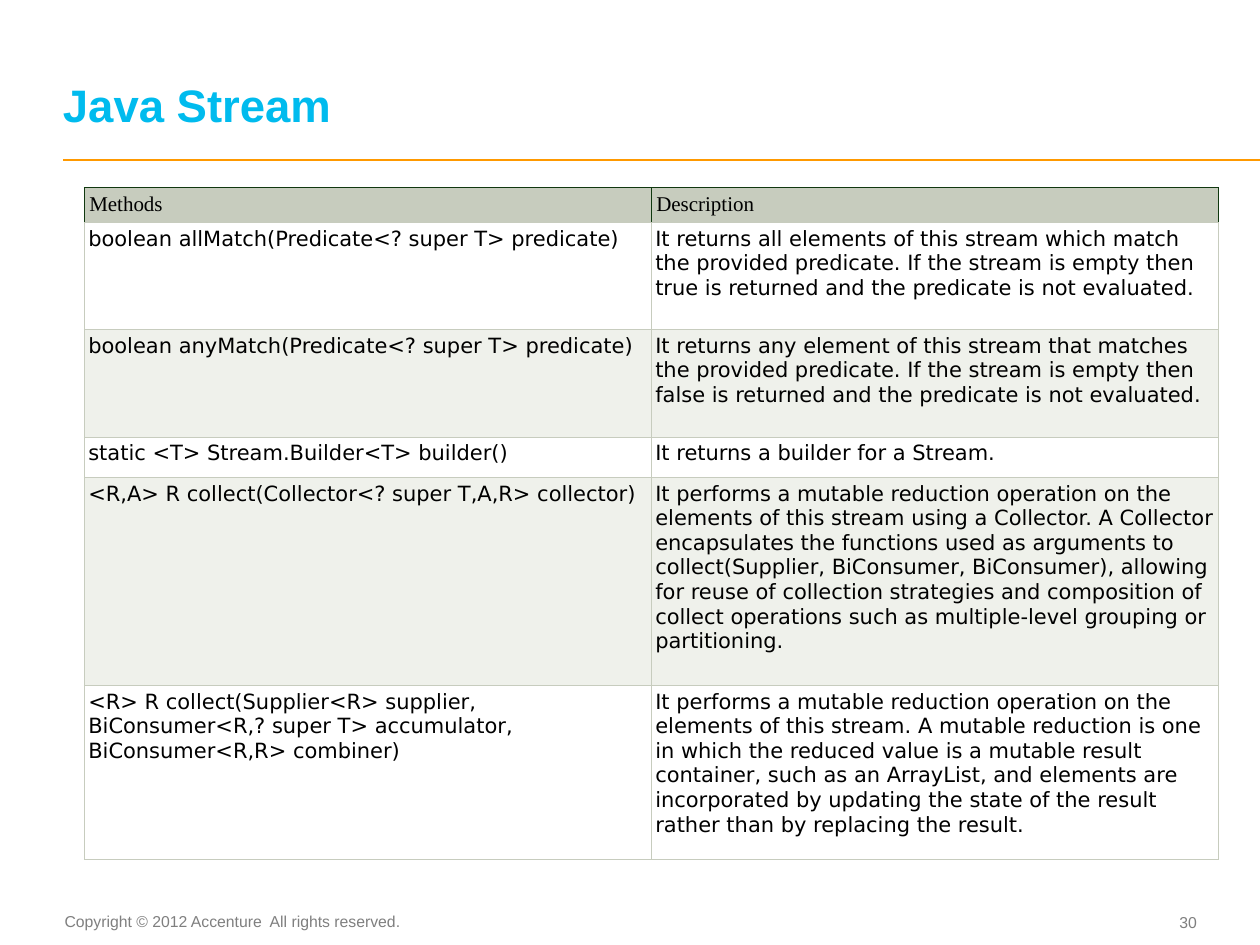
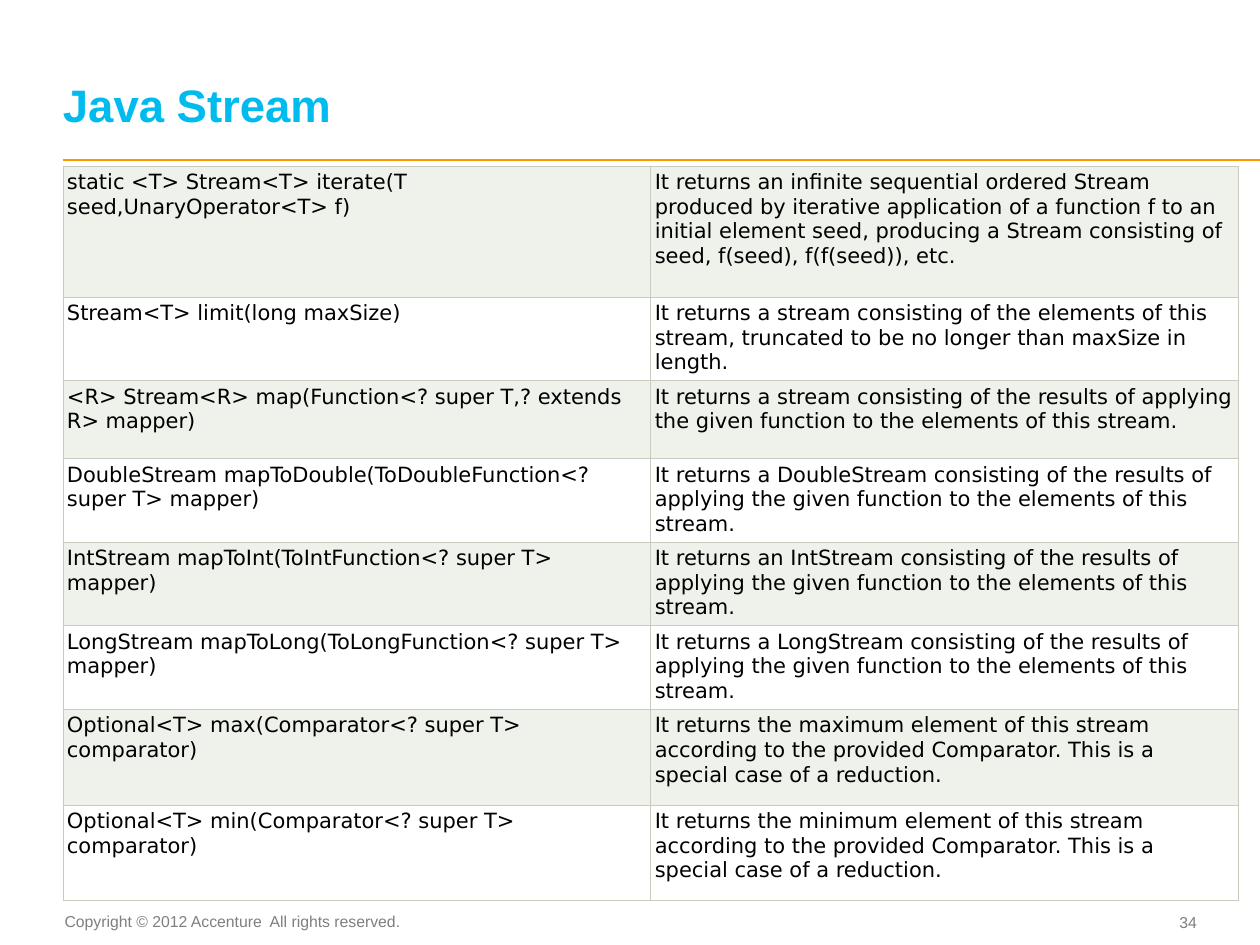
from dataclasses import dataclass
from typing import NamedTuple

from lxml import etree
from pptx import Presentation
from pptx.dml.color import RGBColor
from pptx.enum.shapes import MSO_CONNECTOR
from pptx.enum.text import MSO_ANCHOR, MSO_AUTO_SIZE, PP_ALIGN
from pptx.oxml.ns import qn
from pptx.util import Cm, Pt

STRAIGHT = MSO_CONNECTOR.STRAIGHT
TOP, MIDDLE, BOTTOM = MSO_ANCHOR.TOP, MSO_ANCHOR.MIDDLE, MSO_ANCHOR.BOTTOM
LEFT, CENTER, RIGHT = PP_ALIGN.LEFT, PP_ALIGN.CENTER, PP_ALIGN.RIGHT
GROW = MSO_AUTO_SIZE.SHAPE_TO_FIT_TEXT

# Shared colours and fonts
BLACK = RGBColor(0x00, 0x00, 0x00)
WHITE = RGBColor(0xFF, 0xFF, 0xFF)
SKY = RGBColor(0x00, 0xBB, 0xEE)
ORANGE = RGBColor(0xFF, 0x99, 0x00)
GREY = RGBColor(0x7F, 0x7F, 0x7F)
SAGE = RGBColor(0xC7, 0xCC, 0xBE)
PALE_SAGE = RGBColor(0xEF, 0xF1, 0xEB)
DARK_GREEN = RGBColor(0x10, 0x38, 0x0F)
SANS, TABLE_SANS, SERIF = "Arial", "DejaVu Sans", "Times New Roman"

TITLE = "Java Stream"
COPYRIGHT = "Copyright © 2012 Accenture  All rights reserved."
BORDER_WIDTH = Pt(0.6)


@dataclass(frozen=True)
class Label:
    """Position in centimetres and style of a one-line text."""
    left: float
    top: float
    width: float
    height: float
    size: int
    color: RGBColor
    align: PP_ALIGN = LEFT
    anchor: MSO_ANCHOR = TOP
    bold: bool = False
    line_spacing: int | None = None
    insets: tuple[float, float, float, float] = (0, 0, 0, 0)
    grows: bool = False


class CellStyle(NamedTuple):
    font: str
    inset: float
    edge: RGBColor


class Method(NamedTuple):
    signature: str
    description: str
    height: float


@dataclass(frozen=True)
class MethodPage:
    number: int
    left: float
    top: float
    column_width: float
    methods: list[Method]
    has_header: bool = False
    first_shaded: bool = False


TITLE_LABEL = Label(1.27, 0.48, 22.78, 2.18, 26, SKY, anchor=BOTTOM,
                    bold=True, line_spacing=26)
COPYRIGHT_LABEL = Label(1.24, 18.26, 7.14, 0.64, 9, GREY, align=CENTER,
                        insets=(0, 0.13, 0.25, 0.13), grows=True)
NUMBER_LABEL = Label(22.63, 18.24, 1.5, 0.69, 9, GREY, align=RIGHT, anchor=MIDDLE)

HEADER_CELL = CellStyle(SERIF, 0.1, DARK_GREEN)
BODY_CELL = CellStyle(TABLE_SANS, 0.08, SAGE)

PAGES = [
    MethodPage(30, 1.7, 3.78, 11.43, has_header=True, methods=[
        Method("Methods", "Description", 0.56),
        Method("boolean allMatch(Predicate<? super T> predicate)",
               "It returns all elements of this stream which match the provided "
               "predicate. If the stream is empty then true is returned and the "
               "predicate is not evaluated.", 2.16),
        Method("boolean anyMatch(Predicate<? super T> predicate)",
               "It returns any element of this stream that matches the provided "
               "predicate. If the stream is empty then false is returned and the "
               "predicate is not evaluated.", 2.16),
        Method("static <T> Stream.Builder<T> builder()",
               "It returns a builder for a Stream.", 0.82),
        Method("<R,A> R collect(Collector<? super T,A,R> collector)",
               "It performs a mutable reduction operation on the elements of this "
               "stream using a Collector. A Collector encapsulates the functions "
               "used as arguments to collect(Supplier, BiConsumer, BiConsumer), "
               "allowing for reuse of collection strategies and composition of "
               "collect operations such as multiple-level grouping or "
               "partitioning.", 4.19),
        Method("<R> R collect(Supplier<R> supplier, BiConsumer<R,? super T> "
               "accumulator, BiConsumer<R,R> combiner)",
               "It performs a mutable reduction operation on the elements of this "
               "stream. A mutable reduction is one in which the reduced value is a "
               "mutable result container, such as an ArrayList, and elements are "
               "incorporated by updating the state of the result rather than by "
               "replacing the result.", 3.51),
    ]),
    MethodPage(34, 1.27, 3.35, 11.85, first_shaded=True, methods=[
        Method("static <T> Stream<T> iterate(T seed,UnaryOperator<T> f)",
               "It returns an infinite sequential ordered Stream produced by "
               "iterative application of a function f to an initial element seed, "
               "producing a Stream consisting of seed, f(seed), f(f(seed)), etc.",
               2.64),
        Method("Stream<T> limit(long maxSize)",
               "It returns a stream consisting of the elements of this stream, "
               "truncated to be no longer than maxSize in length.", 1.57),
        Method("<R> Stream<R> map(Function<? super T,? extends R> mapper)",
               "It returns a stream consisting of the results of applying the given "
               "function to the elements of this stream.", 1.57),
        *(Method(f"{kind}Stream mapTo{kind}(To{kind}Function<? super T> mapper)",
                 f"It returns {article} {kind}Stream consisting of the results of "
                 "applying the given function to the elements of this stream.", 1.57)
          for article, kind in (("a", "Double"), ("an", "Int"), ("a", "Long"))),
        *(Method(f"Optional<T> {short}(Comparator<? super T> comparator)",
                 f"It returns the {short}imum element of this stream according to "
                 "the provided Comparator. This is a special case of a reduction.",
                 1.93)
          for short in ("max", "min")),
    ]),
]


def add_label(page, text: str, label: Label) -> None:
    box = page.shapes.add_textbox(Cm(label.left), Cm(label.top),
                                  Cm(label.width), Cm(label.height))
    frame = box.text_frame
    frame.text = text
    frame.word_wrap = True
    frame.vertical_anchor = label.anchor
    if label.grows:
        frame.auto_size = GROW
    (frame.margin_left, frame.margin_top,
     frame.margin_right, frame.margin_bottom) = map(Cm, label.insets)
    para = frame.paragraphs[0]
    para.alignment = label.align
    if label.line_spacing:
        para.line_spacing = Pt(label.line_spacing)
    style_font(para.runs[0].font, SANS, label.size, label.color, label.bold)


def style_font(font, name: str, size: int, color: RGBColor, bold: bool = False) -> None:
    font.name = name
    font.size = Pt(size)
    font.bold = bold
    font.color.rgb = color


def add_rule(page) -> None:
    rule = page.shapes.add_connector(STRAIGHT, Cm(1.27), Cm(3.23), Cm(25.4), Cm(3.23))
    rule.line.color.rgb = ORANGE
    rule.line.width = Pt(1)
    etree.SubElement(rule.element.spPr, qn("a:effectLst"))


def add_borders(cell, edge: RGBColor) -> None:
    """Colour three sides with the edge colour; the bottom is always sage."""
    properties = cell._tc.get_or_add_tcPr()
    for side, color in (("L", edge), ("R", edge), ("T", edge), ("B", SAGE)):
        line = etree.SubElement(properties, qn(f"a:ln{side}"), w=str(BORDER_WIDTH))
        fill = etree.SubElement(line, qn("a:solidFill"))
        etree.SubElement(fill, qn("a:srgbClr"), val=str(color))


def fill_cell(cell, text: str, style: CellStyle, background: RGBColor) -> None:
    add_borders(cell, style.edge)
    cell.fill.solid()
    cell.fill.fore_color.rgb = background
    cell.margin_left = cell.margin_right = Cm(style.inset)
    cell.margin_top = cell.margin_bottom = Cm(style.inset)
    cell.text_frame.text = text
    style_font(cell.text_frame.paragraphs[0].runs[0].font, style.font, 12, BLACK)


def add_method_table(page, content: MethodPage) -> None:
    methods = content.methods
    table = page.shapes.add_table(
        len(methods), 2, Cm(content.left), Cm(content.top),
        Cm(2 * content.column_width), Cm(sum(method.height for method in methods)),
    ).table
    table.first_row = content.has_header
    table.horz_banding = False
    for column in table.columns:
        column.width = Cm(content.column_width)
    for index, (row, method) in enumerate(zip(table.rows, methods)):
        row.height = Cm(method.height)
        if content.has_header and index == 0:
            style, background = HEADER_CELL, SAGE
        else:
            shaded = (index % 2 == 0)
            style, background = BODY_CELL, PALE_SAGE if shaded else WHITE
            if content.has_header != content.first_shaded and content.has_header:
                # A header row shifts the bands: the first body row is white
                background = WHITE if index % 2 else PALE_SAGE
        for cell, text in zip(row.cells, (method.signature, method.description)):
            fill_cell(cell, text, style, background)


def add_page(deck, content: MethodPage) -> None:
    page = deck.slides.add_slide(deck.slide_layouts[6])
    add_rule(page)
    add_label(page, COPYRIGHT, COPYRIGHT_LABEL)
    add_label(page, str(content.number), NUMBER_LABEL)
    add_label(page, TITLE, TITLE_LABEL)
    add_method_table(page, content)


def main() -> None:
    deck = Presentation()
    deck.slide_width, deck.slide_height = Cm(25.4), Cm(19.05)
    for content in PAGES:
        add_page(deck, content)
    deck.save("out.pptx")


if __name__ == "__main__":
    main()
